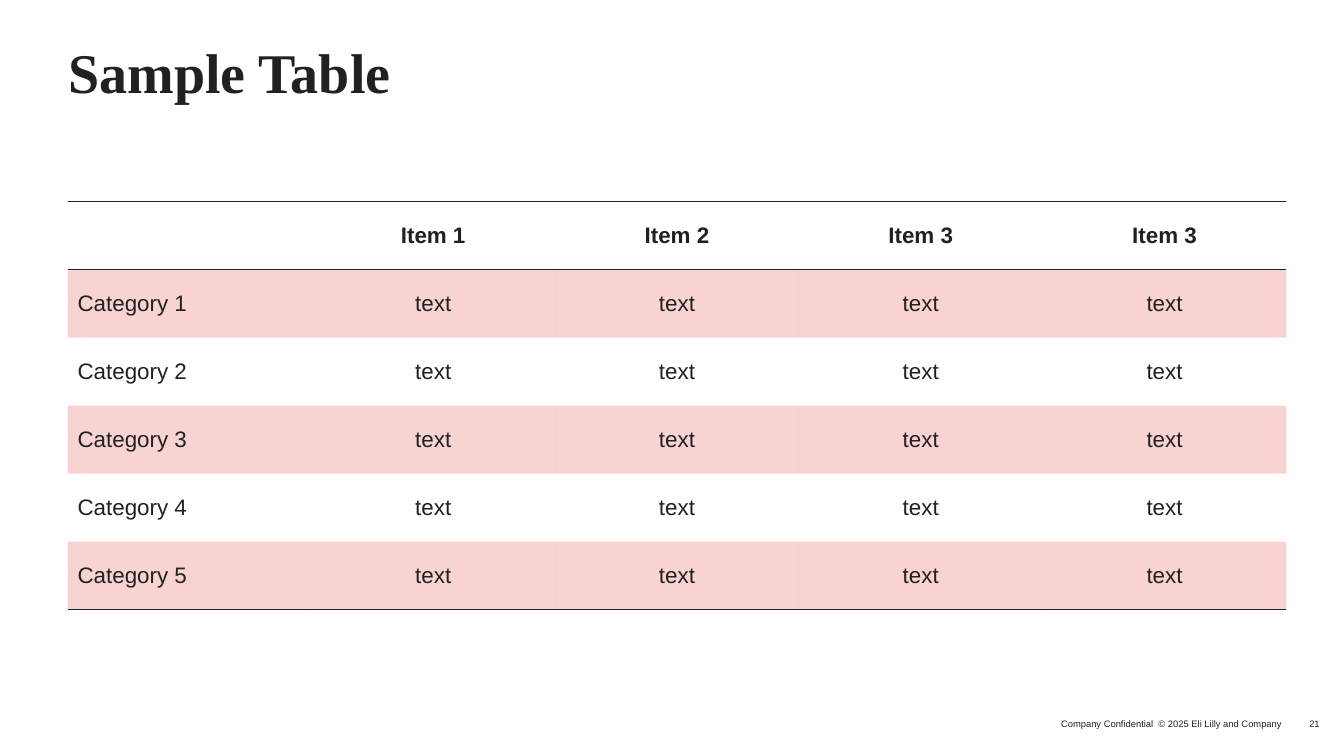
"""Build the Sample Table slide."""
from lxml import etree
from pptx import Presentation
from pptx.dml.color import RGBColor
from pptx.enum.text import MSO_ANCHOR, MSO_AUTO_SIZE, PP_ALIGN
from pptx.oxml.ns import qn
from pptx.util import Inches, Pt

TOP, MIDDLE = MSO_ANCHOR.TOP, MSO_ANCHOR.MIDDLE
LEFT, CENTER, RIGHT = PP_ALIGN.LEFT, PP_ALIGN.CENTER, PP_ALIGN.RIGHT
NO_FIT = MSO_AUTO_SIZE.NONE
PLAIN_STYLE = "{2D5ABB26-0587-4C30-8999-92F81FD0307C}"
COLORS = {"ink": "212121", "rule": "212121", "band": "E1251B"}
NO_MARGINS = dict.fromkeys(("margin_left", "margin_top", "margin_right", "margin_bottom"), 0)


def write(frame, text, align, size, font="Arial", bold=False):
    paragraph = frame.paragraphs[0]
    paragraph.text = text
    paragraph.alignment = align
    formats = {"name": font, "size": Pt(size), "bold": bold}
    for name, value in formats.items():
        setattr(paragraph.font, name, value)
    paragraph.font.color.rgb = RGBColor.from_string(COLORS["ink"])
    return paragraph


def add_border(cell, tag):
    line = etree.SubElement(cell._tc.get_or_add_tcPr(), qn(tag), w=str(Pt(1)))
    fill = etree.SubElement(line, qn("a:solidFill"))
    etree.SubElement(fill, qn("a:srgbClr"), val=COLORS["rule"])


prs = Presentation()
prs.slide_width, prs.slide_height = Inches(13.33), Inches(7.5)
slide = prs.slides.add_slide(prs.slide_layouts[5])

title = slide.shapes.title
title.left, title.top = Inches(0.68), Inches(0.5)
title.width, title.height = Inches(12.09), Inches(1)
title_formats = {**NO_MARGINS, "vertical_anchor": TOP, "auto_size": NO_FIT, "word_wrap": True}
for name, value in title_formats.items():
    setattr(title.text_frame, name, value)
heading = write(title.text_frame, "Sample Table", LEFT, 40, "Times New Roman", True)
heading.line_spacing = 0.8

items = ["", "Item 1", "Item 2", "Item 3", "Item 3"]
rows = [items] + [[f"Category {n}"] + ["text"] * 4 for n in range(1, 6)]
table_frame = slide.shapes.add_table(
    len(rows), len(items), Inches(0.67), Inches(2), Inches(12.09), Inches(4.05))
table = table_frame.table
table.first_row = table.horz_banding = False
table._tbl.tblPr.find(qn("a:tableStyleId")).text = PLAIN_STYLE

for r, row in enumerate(rows):
    for c, text in enumerate(row):
        cell = table.cell(r, c)
        cell.vertical_anchor = MIDDLE
        write(cell.text_frame, text, CENTER if c else LEFT, 16, bold=r == 0)
        if r == 0:
            add_border(cell, "a:lnT")
        if r in (0, len(rows) - 1):
            add_border(cell, "a:lnB")
        if r % 2:
            cell.fill.solid()
            cell.fill.fore_color.rgb = RGBColor.from_string(COLORS["band"])
            band = cell._tc.tcPr.find(qn("a:solidFill")).find(qn("a:srgbClr"))
            etree.SubElement(band, qn("a:alpha"), val="20000")
        else:
            cell.fill.background()

footers = [
    ("Company Confidential  © 2025 Eli Lilly and Company", 10.05, 2.67, False),
    ("21", 12.76, 0.33, True),
]
for text, left, width, wrap in footers:
    footer = slide.shapes.add_textbox(Inches(left), Inches(7.12), Inches(width), Inches(0.13))
    footer_formats = {**NO_MARGINS, "vertical_anchor": MIDDLE, "word_wrap": wrap}
    for name, value in footer_formats.items():
        setattr(footer.text_frame, name, value)
    write(footer.text_frame, text, RIGHT, 6.7)

prs.save("out.pptx")
